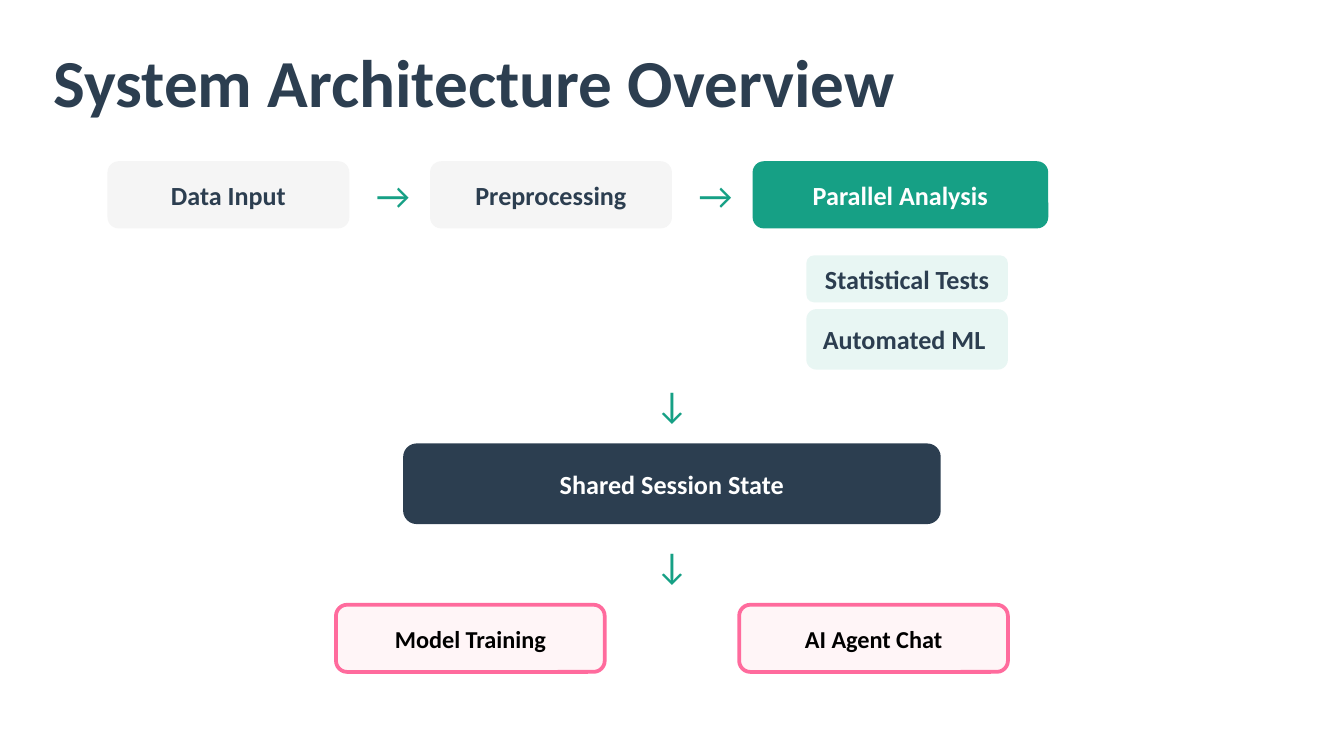
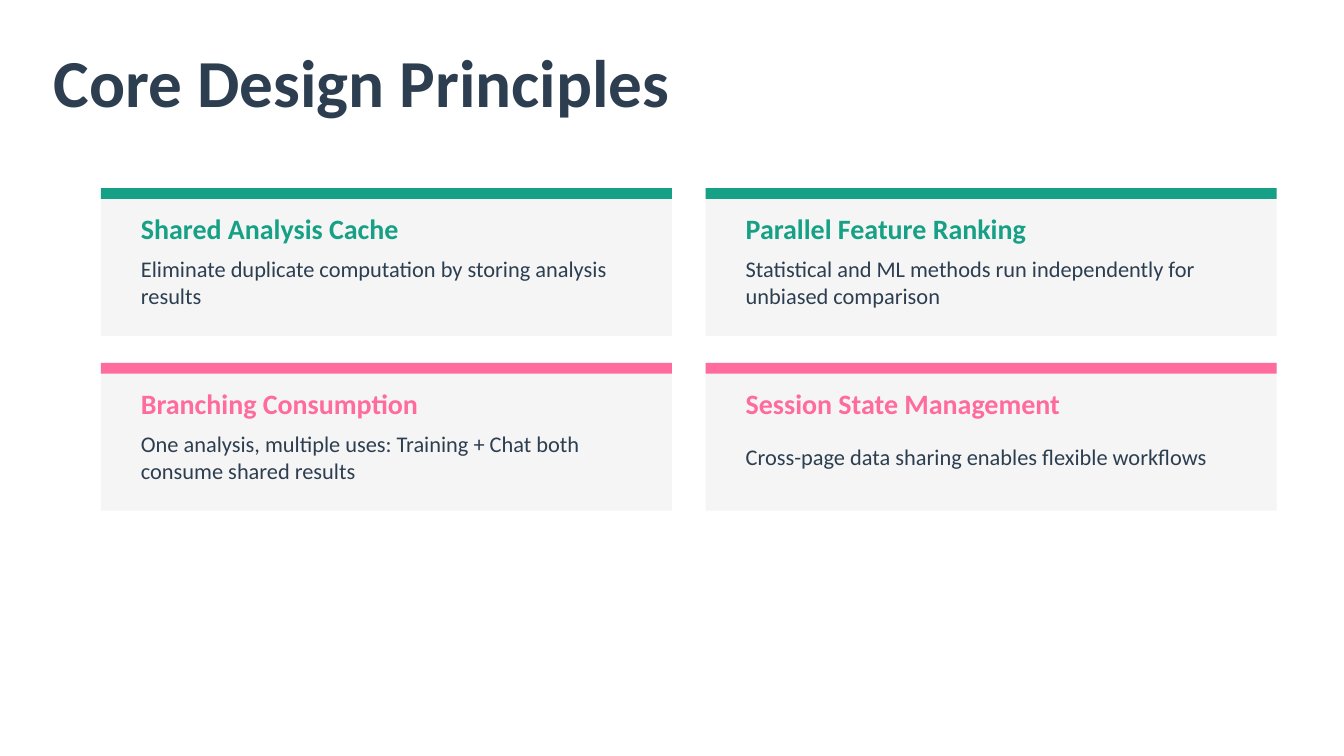
from collections import namedtuple

from pptx import Presentation
from pptx.dml.color import RGBColor
from pptx.enum.shapes import MSO_SHAPE
from pptx.enum.text import MSO_ANCHOR, PP_ALIGN
from pptx.util import Pt

FONT = "Calibri"
NAVY = RGBColor(0x2C, 0x3E, 0x50)
TEAL = RGBColor(0x16, 0xA0, 0x85)
MINT = RGBColor(0xE8, 0xF6, 0xF3)
PINK = RGBColor(0xFF, 0x6B, 0x9D)
BLUSH = RGBColor(0xFF, 0xF5, 0xF7)
GREY = RGBColor(0xF5, 0xF5, 0xF5)
WHITE = RGBColor(0xFF, 0xFF, 0xFF)
BLACK = RGBColor(0x00, 0x00, 0x00)

CORNER = 0.167
BORDER = 2

Box = namedtuple("Box", "left top width height")

TITLE_BOX = Box(21.6, 21.6, 648, 43.2)
PIPELINE_BOX = Box(57.6, 86.4, 504, 36)
METHODS_BOX = Box(432, 136.8, 108, 61.2)
STATE_BOX = Box(216, 237.6, 288, 43.2)
CONSUMERS_BOX = Box(180, 324, 360, 36)
CARDS_BOX = Box(54, 100.8, 630, 172.8)

PRINCIPLES = [
    ("Shared Analysis Cache",
     "Eliminate duplicate computation by storing analysis results"),
    ("Parallel Feature Ranking",
     "Statistical and ML methods run independently for unbiased comparison"),
    ("Branching Consumption",
     "One analysis, multiple uses: Training + Chat both consume shared results"),
    ("Session State Management",
     "Cross-page data sharing enables flexible workflows"),
]


def within(box, left, top, width, height):
    return Box(box.left + left, box.top + top, width, height)


def in_points(box):
    return [Pt(length) for length in box]


def write(shape, text, size, color, bold=False, align=PP_ALIGN.LEFT):
    frame = shape.text_frame
    frame.word_wrap = True
    frame.vertical_anchor = MSO_ANCHOR.MIDDLE
    para = frame.paragraphs[0]
    para.alignment = align
    span = para.add_run()
    span.text = text
    span.font.name = FONT
    span.font.size = Pt(size)
    span.font.bold = bold
    span.font.color.rgb = color


def add_label(page, box, text, size, color, bold=False, align=PP_ALIGN.LEFT):
    label = page.shapes.add_textbox(*in_points(box))
    write(label, text, size, color, bold, align)


def add_panel(page, box, fill, kind=MSO_SHAPE.RECTANGLE, border=None):
    panel = page.shapes.add_shape(kind, *in_points(box))
    panel.shadow.inherit = False
    panel.fill.solid()
    panel.fill.fore_color.rgb = fill
    if border is None:
        panel.line.fill.background()
    else:
        panel.line.color.rgb = border
        panel.line.width = Pt(BORDER)
    return panel


def add_node(page, box, text, fill, color, size=14, border=None):
    node = add_panel(page, box, fill, MSO_SHAPE.ROUNDED_RECTANGLE, border)
    node.adjustments[0] = CORNER
    write(node, text, size, color, True, PP_ALIGN.CENTER)


def add_arrow(page, box, symbol):
    add_label(page, box, symbol, 20, TEAL, align=PP_ALIGN.CENTER)


def add_page(deck, title):
    page = deck.slides.add_slide(deck.slide_layouts[6])
    page.background.fill.solid()
    page.background.fill.fore_color.rgb = WHITE
    add_label(page, TITLE_BOX, title, 36, NAVY, True)
    return page


def add_pipeline(page, box):
    step_width, gap, arrow_width = 129.6, 43.2, 28.8
    pitch = step_width + gap
    for index, text in enumerate(["Data Input", "Preprocessing"]):
        left = index * pitch
        add_node(page, within(box, left, 0, step_width, box.height), text, GREY, NAVY)
        arrow_left = left + step_width + (gap - arrow_width) / 2
        add_arrow(page, within(box, arrow_left, 0, arrow_width, box.height), "→")
    last = within(box, 2 * pitch, 0, box.width - 2 * pitch, box.height)
    add_node(page, last, "Parallel Analysis", TEAL, WHITE)


def add_methods(page, box):
    first_height, gap = 25.2, 3.6
    second_top = first_height + gap
    add_node(page, within(box, 0, 0, box.width, first_height),
             "Statistical Tests", MINT, NAVY)
    add_node(page, within(box, 0, second_top, box.width, box.height - second_top),
             "Automated ML ", MINT, NAVY)


def add_session_state(page, box):
    arrow_width, arrow_height = 144, 28.8
    arrow_left = (box.width - arrow_width) / 2
    for arrow_top in (-36, box.height + 7.2):
        add_arrow(page, within(box, arrow_left, arrow_top, arrow_width, arrow_height), "↓")
    add_node(page, box, "Shared Session State", NAVY, WHITE)


def add_consumers(page, box):
    width = 144
    for left, text in [(0, "Model Training"), (box.width - width, "AI Agent Chat")]:
        add_node(page, within(box, left, 0, width, box.height), text,
                 BLUSH, BLACK, 13, PINK)


def add_card(page, box, heading, body, accent):
    margin = 14.4
    text_width = box.width - 2 * margin
    add_panel(page, box, GREY)
    add_panel(page, within(box, 0, 0, box.width, 5.76), accent)
    add_label(page, within(box, margin, 10.8, text_width, 21.6), heading, 15, accent, True)
    add_label(page, within(box, margin, 36, text_width, 28.8), body, 12, NAVY)


def add_cards(page, box):
    column_gap, row_gap = 18, 14.4
    width = (box.width - column_gap) / 2
    height = (box.height - row_gap) / 2
    for index, (heading, body) in enumerate(PRINCIPLES):
        row, column = divmod(index, 2)
        card = within(box, column * (width + column_gap), row * (height + row_gap),
                      width, height)
        add_card(page, card, heading, body, (TEAL, PINK)[row])


def build_architecture(deck):
    page = add_page(deck, "System Architecture Overview")
    add_pipeline(page, PIPELINE_BOX)
    add_methods(page, METHODS_BOX)
    add_session_state(page, STATE_BOX)
    add_consumers(page, CONSUMERS_BOX)


def build_principles(deck):
    page = add_page(deck, "Core Design Principles")
    add_cards(page, CARDS_BOX)


def main():
    deck = Presentation()
    deck.slide_width = Pt(720)
    deck.slide_height = Pt(405)
    build_architecture(deck)
    build_principles(deck)
    deck.save("out.pptx")


if __name__ == "__main__":
    main()
